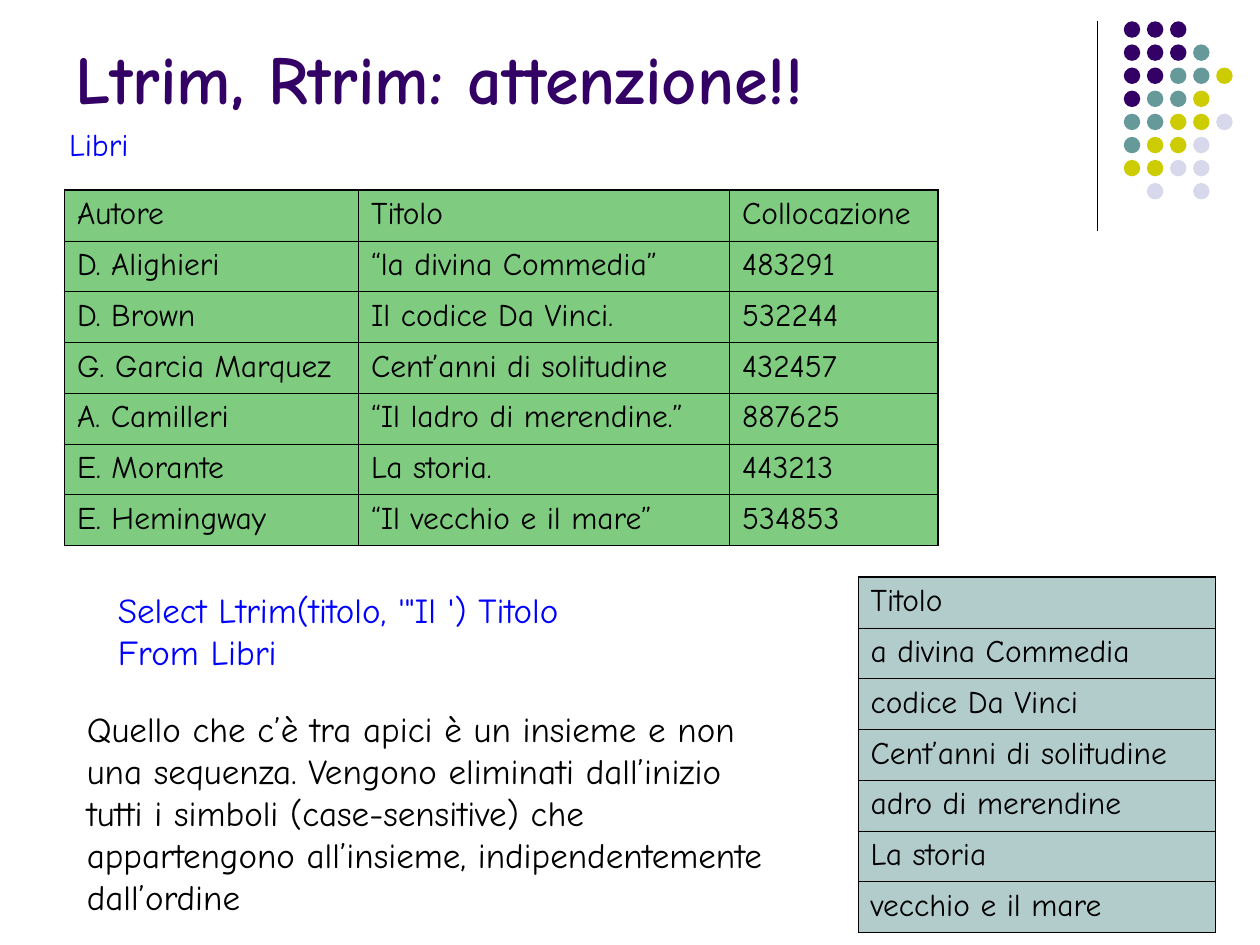
from lxml.etree import SubElement
from pptx import Presentation
from pptx.dml.color import RGBColor
from pptx.enum.shapes import MSO_CONNECTOR, MSO_SHAPE
from pptx.enum.text import MSO_ANCHOR
from pptx.oxml.ns import qn
from pptx.util import Pt

FONT = "Comic Neue"
rgb = RGBColor.from_string


def add_text(s, box, lines, size, color, wrap=False):
    tf = s.shapes.add_textbox(*map(Pt, box)).text_frame
    tf.word_wrap = wrap
    tf.text = "\n".join(lines)
    for p in tf.paragraphs:
        p.font.name, p.font.size = FONT, Pt(size)
        p.font.color.rgb = rgb(color)
    return tf


def add_grid(s, left, top, widths, rows, color, side):
    """Table with half-transparent cells and a heavier top and bottom edge."""
    row_h, thin, thick = 29, 0.45, 1.08
    n, m = len(rows), len(widths)
    table = s.shapes.add_table(n, m, Pt(left), Pt(top), Pt(sum(widths)),
                               Pt(row_h * n)).table
    table.first_row = table.horz_banding = False
    for j, width in enumerate(widths):
        table.columns[j].width = Pt(width)
    for i, row in enumerate(rows):
        table.rows[i].height = Pt(row_h)
        for j, text in enumerate(row):
            cell = table.cell(i, j)
            cell.text = text
            p = cell.text_frame.paragraphs[0]
            p.font.name, p.font.size = FONT, Pt(18)
            p.font.color.rgb = rgb("000000")
            # Borders
            tc_pr = cell._tc.get_or_add_tcPr()
            borders = {"a:lnL": side if j == 0 else thin,
                       "a:lnR": side if j == m - 1 else thin,
                       "a:lnT": thick if i == 0 else thin,
                       "a:lnB": thick if i == n - 1 else thin}
            for tag, width in borders.items():
                ln = SubElement(tc_pr, qn(tag), w=str(Pt(width)))
                fill = SubElement(ln, qn("a:solidFill"))
                SubElement(fill, qn("a:srgbClr"), val="000000")
            # Half-transparent fill
            cell.fill.solid()
            cell.fill.fore_color.rgb = rgb(color)
            clr = tc_pr.find(qn("a:solidFill")).find(qn("a:srgbClr"))
            SubElement(clr, qn("a:alpha"), val="50000")


prs = Presentation()
prs.slide_width, prs.slide_height = Pt(720), Pt(540)
s = prs.slides.add_slide(prs.slide_layouts[6])

# Vertical rule
rule = s.shapes.add_connector(MSO_CONNECTOR.STRAIGHT, Pt(627), Pt(12.2),
                              Pt(627), Pt(132))
rule.line.color.rgb = rgb("000000")
rule.line.width = Pt(0.75)
SubElement(rule._element.spPr, qn("a:effectLst"))

# Dot pattern: one letter per dot, by colour
dot_colors = {"P": "330066", "T": "669999", "Y": "CCCC00", "L": "D8D8EC"}
dot_rows = ["PPP", "PPPT", "PPTTY", "PTTY", "TTYYL", "TYYL", "YYLL", " L L"]
dots = s.shapes.add_group_shape()
for i, row in enumerate(dot_rows):
    for j, key in enumerate(row):
        if key == " ":
            continue
        sp = dots.shapes.add_shape(MSO_SHAPE.OVAL, Pt(642.2 + 13.2 * j),
                                   Pt(12.2 + 13.2 * i), Pt(9.4), Pt(9.4))
        sp.shadow.inherit = False
        sp.fill.solid()
        sp.fill.fore_color.rgb = rgb(dot_colors[key])
        sp.line.fill.background()

# Title
tf = add_text(s, (36, -31, 594, 102), ["Ltrim, Rtrim: attenzione!!"], 39,
              "330066", wrap=True)
tf.vertical_anchor = MSO_ANCHOR.BOTTOM
tf.paragraphs[0].font.bold = True

# Books table
add_text(s, (32.4, 67.7, 56, 29), ["Libri"], 18, "0000FF", wrap=True)
books = [
    ("Autore", "Titolo", "Collocazione"),
    ("D. Alighieri", "“la divina Commedia”", "483291"),
    ("D. Brown", "Il codice Da Vinci.", "532244"),
    ("G. Garcia Marquez", "Cent’anni di solitudine", "432457"),
    ("A. Camilleri", "“Il ladro di merendine.”", "887625"),
    ("E. Morante", "La storia.", "443213"),
    ("E. Hemingway", "“Il vecchio e il mare”", "534853"),
]
add_grid(s, 36.9, 108.7, [168, 212, 119], books, "009900", side=1.08)

# Query
add_text(s, (60.2, 332.6, 267, 55),
         ["Select Ltrim(titolo, '\"Il ') Titolo", "From Libri"], 20, "0000FF")

# Result table
titles = ["Titolo", "a divina Commedia", "codice Da Vinci",
          "Cent’anni di solitudine", "adro di merendine", "La storia",
          "vecchio e il mare"]
add_grid(s, 490.3, 329.8, [204.3], [(t,) for t in titles], "669999", side=0.45)

# Explanation
add_text(s, (42.5, 400.7, 409.7, 127.4),
         ["Quello che c’è tra apici è un insieme e non una sequenza. Vengono "
          "eliminati dall’inizio tutti i simboli (case-sensitive) che "
          "appartengono all’insieme, indipendentemente dall’ordine"],
         20, "000000", wrap=True)

prs.save("out.pptx")
